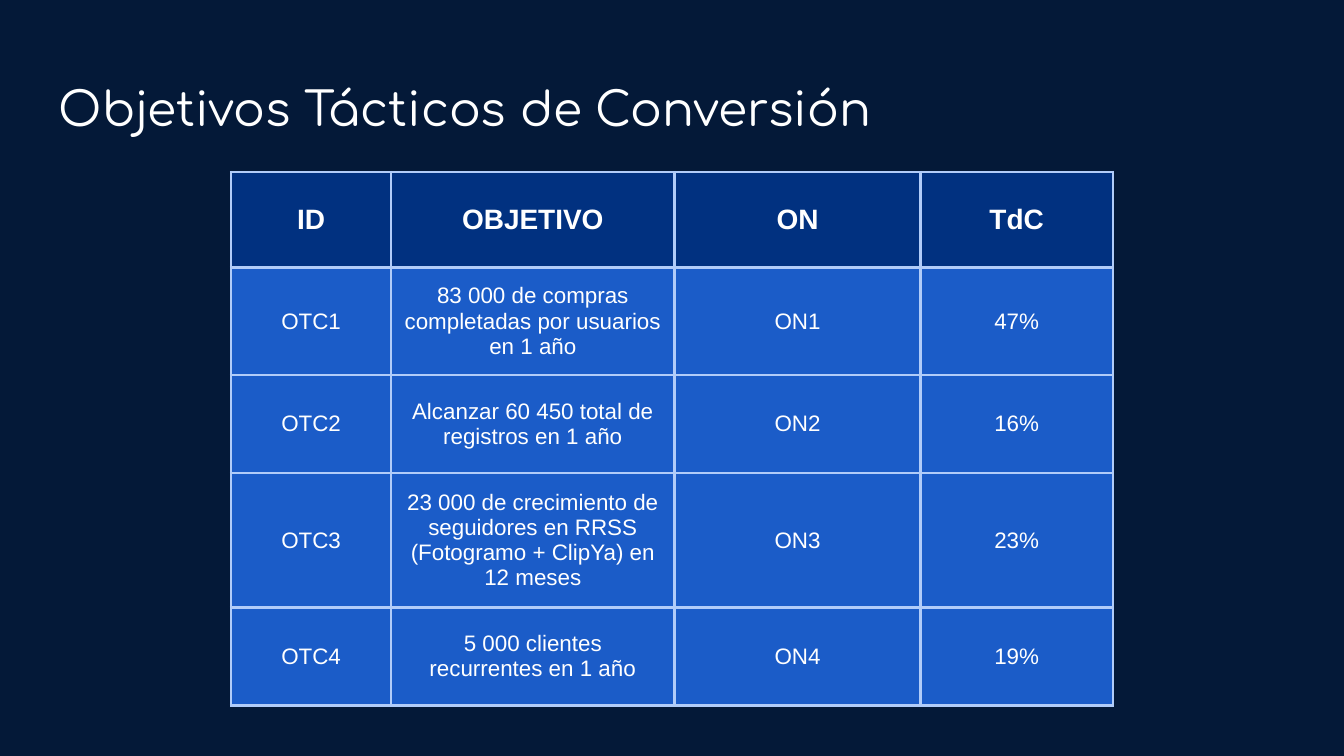
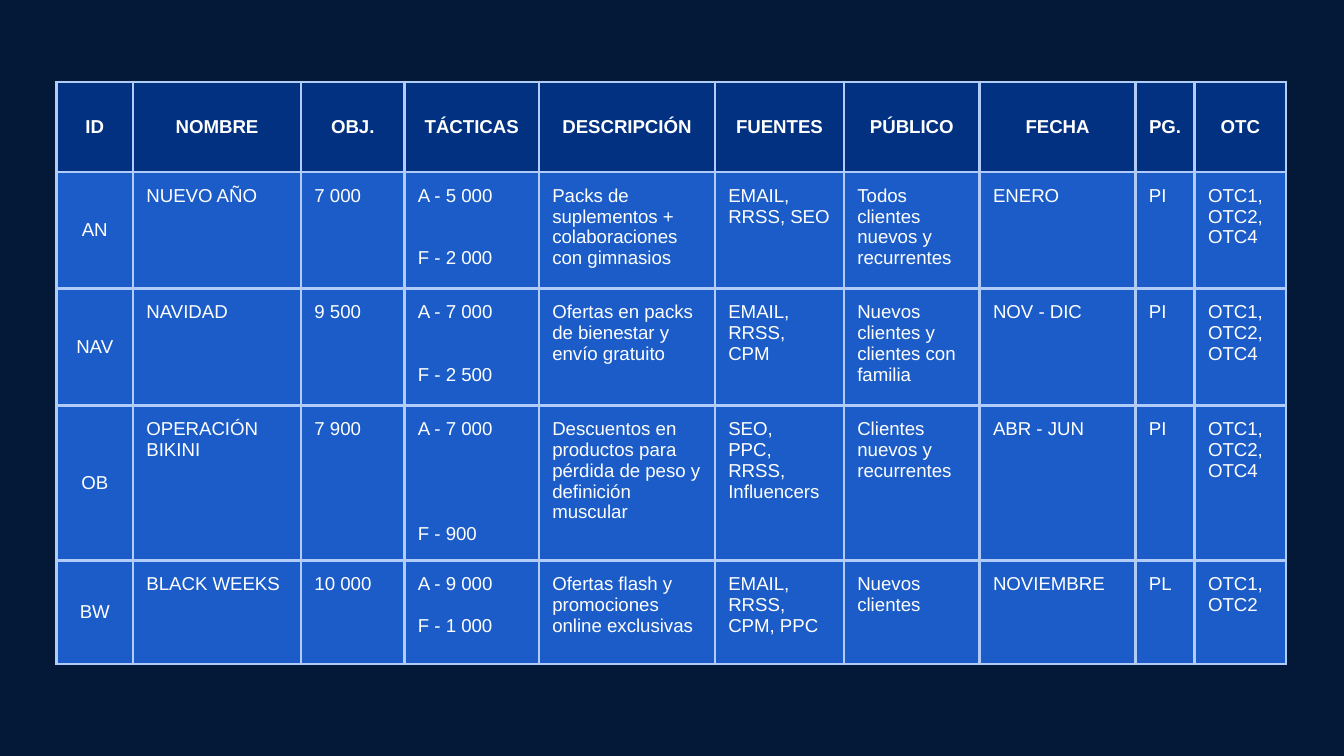
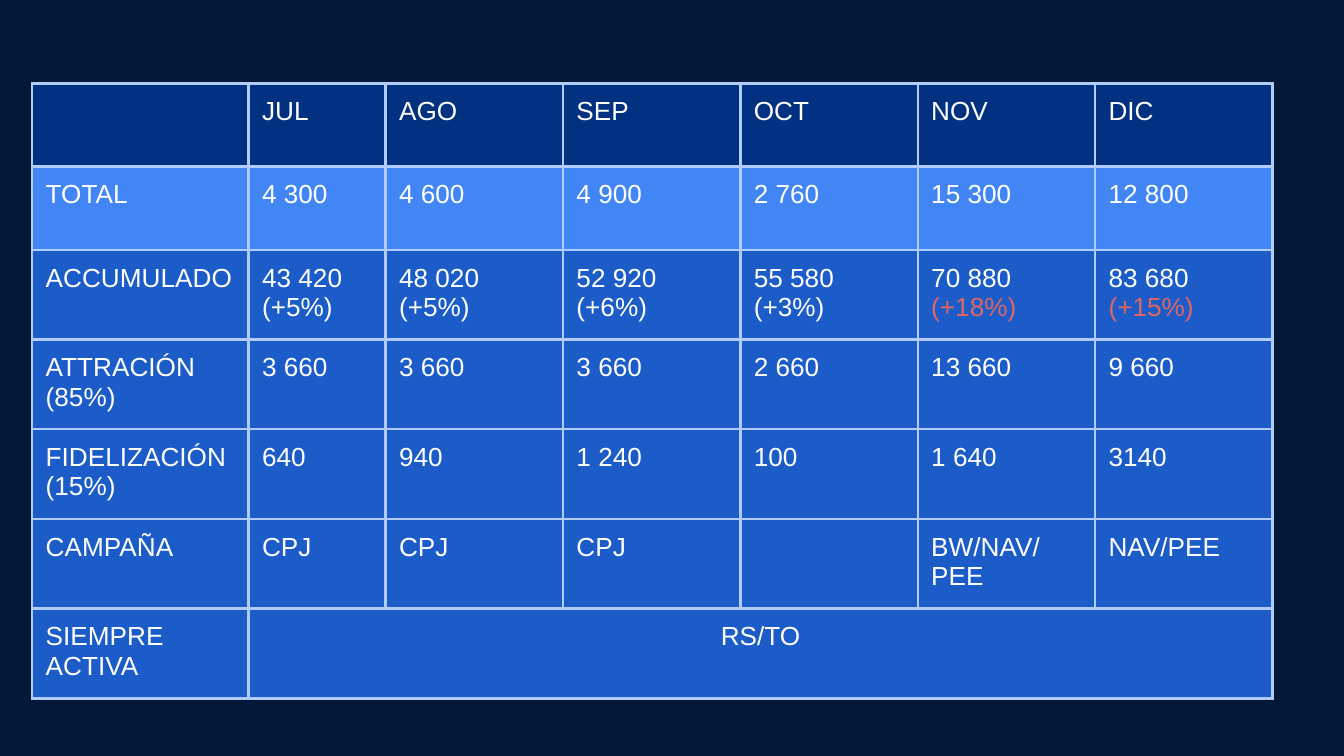
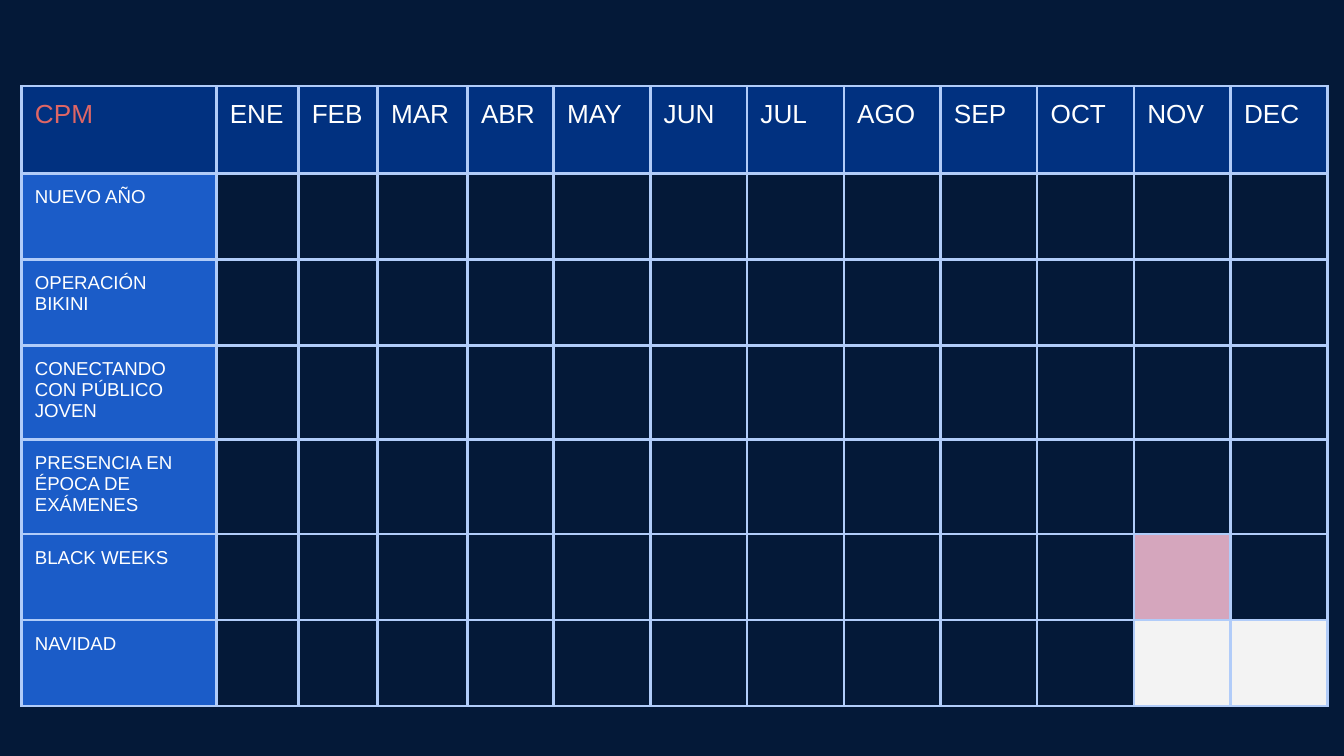
from lxml.etree import SubElement
from pptx import Presentation
from pptx.dml.color import RGBColor as Rgb
from pptx.enum.shapes import MSO_SHAPE as Shape
from pptx.enum.text import MSO_ANCHOR as Anchor, PP_ALIGN as Align
from pptx.oxml.ns import qn
from pptx.util import Inches, Pt

# Shared look
NAVY, DEEP, BLUE, LIGHT = "041938", "013180", "1B5CC8", "4286F5"
WHITE, RED, PINK, PALE, EDGE = "FFFFFF", "DF6665", "D5A6BD", "F3F3F3", "B1CCF9"
LINE = 11.2  # height in points of one 10 pt line
SIDES = ("left", "right", "top", "bottom")


def color(code):
    return Rgb.from_string(code)


def paint(fill, code):
    fill.solid()
    fill.fore_color.rgb = color(code)


def pad(part):
    for side in SIDES:
        setattr(part, "margin_" + side, Inches(0.1))


def write(para, text, ink=WHITE, align=None, **form):
    """Put text in a paragraph and set its font from the format values."""
    run = para.add_run()
    run.text = text
    for name, value in ({"name": "Arial"} | form).items():
        setattr(run.font, name, value)
    run.font.color.rgb = color(ink)
    para.alignment = align


def border(cell):
    """Draw the four sides, which stand before the fill in the cell's XML."""
    props = cell._tc.get_or_add_tcPr()
    for spot, side in enumerate(("lnL", "lnR", "lnT", "lnB")):
        line = SubElement(props, qn("a:" + side), w=str(Pt(1.5)), cap="flat", cmpd="sng")
        fill = SubElement(line, qn("a:solidFill"))
        SubElement(fill, qn("a:srgbClr"), val=EDGE)
        SubElement(line, qn("a:prstDash"), val="solid")
        props.insert(spot, line)


def page(deck, patch=True):
    slide = deck.slides.add_slide(deck.slide_layouts[6])
    paint(slide.background.fill, NAVY)
    if patch:  # corner block
        box = slide.shapes.add_shape(Shape.RECTANGLE, *map(Inches, (8.86, 0.04, 1.14, 1.42)))
        box.shadow.inherit = False
        paint(box.fill, NAVY)
        box.line.color.rgb = color(NAVY)
        box.line.width = Pt(0.75)
    return slide


def title(slide, text, box):
    frame = slide.shapes.add_textbox(*map(Inches, box)).text_frame
    frame.word_wrap = True
    frame.vertical_anchor = Anchor.MIDDLE
    pad(frame)
    write(frame.paragraphs[0], text, name="Comfortaa", size=Pt(25.2))


def grid(slide, spot, cols, rows, data, style):
    """Build a table; style(row, col) gives fill, anchor, gap and font values."""
    sizes = [Inches(n) for n in (*spot, 3.28, 3.28)]
    frame = slide.shapes.add_table(len(rows), len(cols), *sizes)
    table = frame.table
    table.first_row = table.horz_banding = False
    for col, width in zip(table.columns, cols):
        col.width = Inches(width)
    for r, (row, height) in enumerate(zip(table.rows, rows)):
        row.height = Inches(height)
        for c, cell in enumerate(row.cells):
            form = style(r, c)
            paint(cell.fill, form.pop("fill"))
            border(cell)
            cell.vertical_anchor = form.pop("anchor", Anchor.TOP)
            pad(cell)
            gap, inks = form.pop("gap", 0), form.pop("inks", ())
            text = data[r][c] if c < len(data[r]) else ""
            for n, part in enumerate(text.split("\n") if text else ()):
                para = cell.text_frame.add_paragraph() if n else cell.text_frame.paragraphs[0]
                if n and gap:
                    para.space_before = Pt(gap)
                write(para, part, **form | ({"ink": inks[n]} if inks else {}))
    # The frame keeps its base size; rows and columns set the real one
    frame.width, frame.height = sizes[2:]
    return table


MID = {"anchor": Anchor.MIDDLE, "align": Align.CENTER}


# Slide 1: conversion goals
def goals(deck):
    slide = page(deck, patch=False)
    title(slide, "Objetivos Tácticos de Conversión", (0.34, 0.49, 9.32, 0.63))
    data = [
        ["ID", "OBJETIVO", "ON", "TdC"],
        ["OTC1", "83 000 de compras completadas por usuarios en 1 año", "ON1", "47%"],
        ["OTC2", "Alcanzar 60 450 total de registros en 1 año", "ON2", "16%"],
        ["OTC3", "23 000 de crecimiento de seguidores en RRSS (Fotogramo + ClipYa) en 12 meses",
         "ON3", "23%"],
        ["OTC4", "5 000 clientes recurrentes en 1 año", "ON4", "19%"],
    ]

    def style(r, c):
        if r == 0:
            return MID | {"fill": DEEP, "size": Pt(15), "bold": True}
        return MID | {"fill": BLUE, "size": Pt(12)}

    grid(slide, (1.72, 1.28), [1.19, 2.11, 1.83, 1.43], [0.71] + [0.73] * 4, data, style)


# Slide 2: campaigns
def plans(deck):
    data = [
        ["ID", "NOMBRE", "OBJ.", "TÁCTICAS", "DESCRIPCIÓN", "FUENTES", "PÚBLICO", "FECHA",
         "PG.", "OTC"],
        ["AN", "NUEVO AÑO", "7 000", "A - 5 000\nF - 2 000",
         "Packs de suplementos + colaboraciones con gimnasios", "EMAIL, RRSS, SEO",
         "Todos clientes nuevos y recurrentes", "ENERO", "PI", "OTC1, OTC2, OTC4"],
        ["NAV", "NAVIDAD", "9 500", "A - 7 000\nF - 2 500",
         "Ofertas en packs de bienestar y envío gratuito", "EMAIL, RRSS, CPM",
         "Nuevos clientes y clientes con familia", "NOV - DIC", "PI", "OTC1, OTC2, OTC4"],
        ["OB", "OPERACIÓN BIKINI", "7 900", "A - 7 000\nF - 900",
         "Descuentos en productos para pérdida de peso y definición muscular",
         "SEO,\nPPC,\nRRSS, Influencers", "Clientes nuevos y recurrentes", "ABR - JUN", "PI",
         "OTC1, OTC2, OTC4"],
        ["BW", "BLACK WEEKS", "10 000", "A - 9 000\nF - 1 000",
         "Ofertas flash y promociones online exclusivas", "EMAIL, RRSS, CPM, PPC",
         "Nuevos clientes", "NOVIEMBRE", "PL", "OTC1, OTC2"],
    ]
    skips = [0, 2, 2, 4, 1]  # lines left free between the two tactics

    def style(r, c):
        form = {"fill": BLUE if r else DEEP, "size": Pt(10), "bold": r == 0}
        if r == 0 or c == 0:
            form |= MID
        if c == 3:
            form["gap"] = skips[r] * LINE
        return form

    cols = [0.57, 1.25, 0.77, 1, 1.31, 0.96, 1.01, 1.16, 0.44, 0.68]
    grid(page(deck), (0.42, 0.61), cols, [0.67, 0.83, 0.83, 0.99, 0.77], data, style)


# Slide 3: monthly totals
def totals(deck):
    data = [
        ["", "JUL", "AGO", "SEP", "OCT", "NOV", "DIC"],
        ["TOTAL", "4 300", "4 600", "4 900", "2 760", "15 300", "12 800"],
        ["ACCUMULADO", "43 420\n(+5%)", "48 020\n(+5%)", "52 920\n(+6%)", "55 580\n(+3%)",
         "70 880\n(+18%)", "83 680\n(+15%)"],
        ["ATTRACIÓN\n(85%)", "3 660", "3 660", "3 660", "2 660", "13 660", "9 660"],
        ["FIDELIZACIÓN\n(15%)", "640", "940", "1 240", "100", "1 640", "3140"],
        ["CAMPAÑA", "CPJ", "CPJ", "CPJ", "", "BW/NAV/PEE", "NAV/PEE"],
        ["SIEMPRE ACTIVA", "RS/TO"],
    ]

    def style(r, c):
        form = {"fill": {0: DEEP, 1: LIGHT}.get(r, BLUE), "size": Pt(14)}
        if r == 2 and c > 4:
            form["inks"] = (WHITE, RED)
        if r == 6 and c == 1:
            form["align"] = Align.CENTER
        return form

    cols = [1.61, 1.02] + [1.32] * 5
    table = grid(page(deck), (0.24, 0.62), cols, [0.62] * 7, data, style)
    table.cell(6, 1).merge(table.cell(6, 6))


# Slide 4: calendar
def year(deck):
    data = [
        ["CPM", "ENE", "FEB", "MAR", "ABR", "MAY", "JUN", "JUL", "AGO", "SEP", "OCT", "NOV", "DEC"],
        ["NUEVO AÑO"],
        ["OPERACIÓN BIKINI"],
        ["CONECTANDO CON PÚBLICO JOVEN"],
        ["PRESENCIA EN ÉPOCA DE EXÁMENES"],
        ["BLACK WEEKS"],
        ["NAVIDAD"],
    ]
    marks = {(5, 11): PINK, (6, 11): PALE, (6, 12): PALE}

    def style(r, c):
        if r == 0:
            return {"fill": DEEP, "size": Pt(14), "ink": WHITE if c else RED}
        return {"fill": marks.get((r, c), NAVY) if c else BLUE, "size": Pt(10)}

    cols = [1.45, 0.61, 0.59, 0.67, 0.64] + [0.72] * 8
    rows = [0.65, 0.64, 0.64, 0.69, 0.69, 0.64, 0.64]
    grid(page(deck), (0.16, 0.64), cols, rows, data, style)


def main():
    deck = Presentation()
    deck.slide_width = Inches(10)
    deck.slide_height = deck.slide_width * 9 // 16
    for build in (goals, plans, totals, year):
        build(deck)
    deck.save("out.pptx")


if __name__ == "__main__":
    main()
